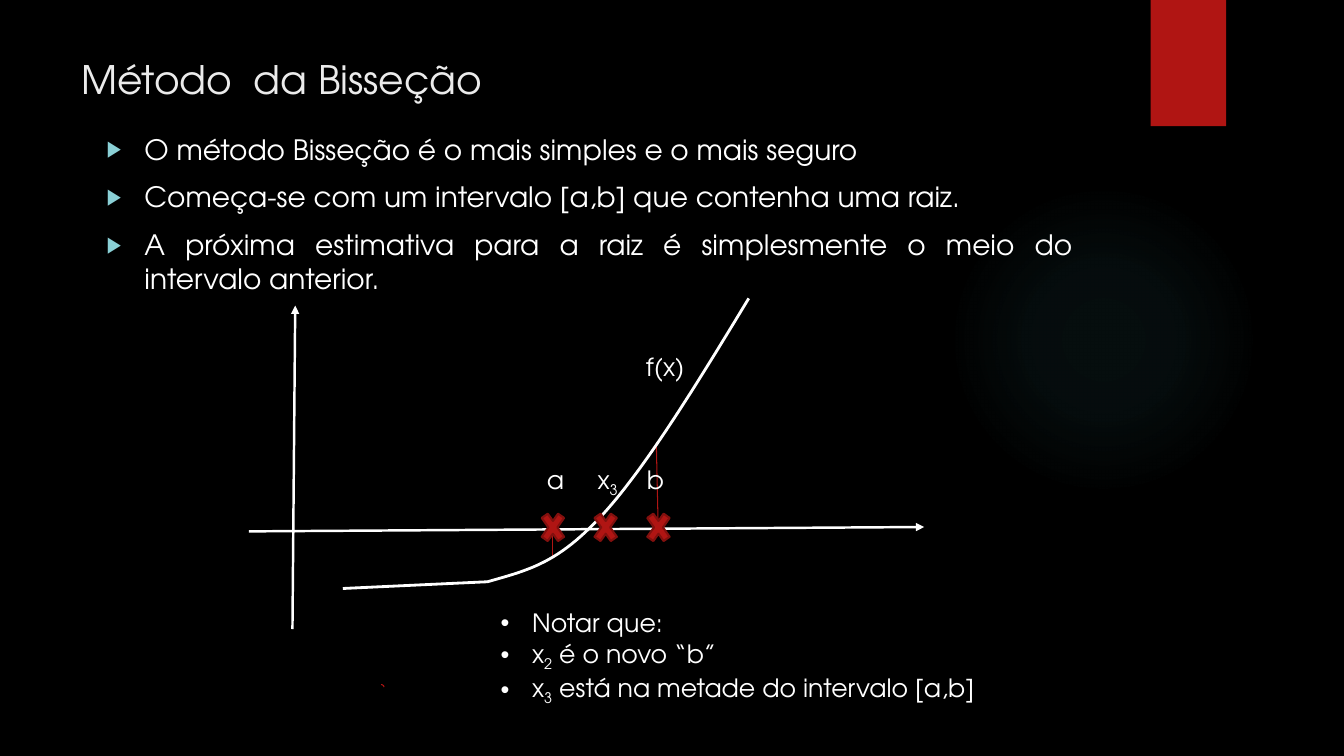
import pptx
import pptx.dml.color
import pptx.enum.shapes
import pptx.enum.text
import pptx.oxml
import pptx.oxml.ns
import pptx.util
from lxml import etree

Cm = pptx.util.Cm
Pt = pptx.util.Pt
Shapes = pptx.enum.shapes.MSO_SHAPE
qn = pptx.oxml.ns.qn


def color(value):
    return pptx.dml.color.RGBColor.from_string(value)


def bezier(start, first, second, end, steps=24):
    points = []
    for step in range(1, steps + 1):
        t = step / steps
        weights = ((1 - t) ** 3, 3 * t * (1 - t) ** 2, 3 * t * t * (1 - t), t ** 3)
        controls = (start, first, second, end)
        points.append(tuple(sum(w * c[axis] for w, c in zip(weights, controls)) for axis in (0, 1)))
    return points


class SlideBuilder:
    font = "TeX Gyre Adventor"
    white = "FFFFFF"
    red = "B01513"
    dark_red = "82100E"
    bullet_blue = "8AD0D6"

    def __init__(self, presentation):
        self.slide = presentation.slides.add_slide(presentation.slide_layouts[6])
        background = self.slide.background.fill
        background.solid()
        background.fore_color.rgb = color("000000")

    def style(self, shape, fill=None, line=None, width=1):
        shape.shadow.inherit = False
        if fill:
            shape.fill.solid()
            shape.fill.fore_color.rgb = color(fill)
        else:
            shape.fill.background()
        if line:
            shape.line.color.rgb = color(line)
            shape.line.width = Pt(width)
        else:
            shape.line.fill.background()

    def shape(self, kind, left, top, width, height, fill=None, line=None, line_width=1):
        shape = self.slide.shapes.add_shape(kind, Cm(left), Cm(top), Cm(width), Cm(height))
        self.style(shape, fill, line, line_width)
        return shape

    def glow(self, left, top, size, tint, stops):
        shape = self.shape(Shapes.OVAL, left, top, size, size)
        stops_xml = "".join(
            f'<a:gs pos="{position * 1000}"><a:srgbClr val="{tint}">'
            f'<a:alpha val="{alpha * 1000}"/></a:srgbClr></a:gs>'
            for position, alpha in stops
        )
        gradient = pptx.oxml.parse_xml(
            f'<a:gradFill {pptx.oxml.ns.nsdecls("a")}><a:gsLst>{stops_xml}</a:gsLst>'
            '<a:path path="circle"><a:fillToRect l="50000" t="50000" r="50000" b="50000"/>'
            "</a:path></a:gradFill>"
        )
        properties = shape.element.spPr
        properties.replace(properties.find(qn("a:noFill")), gradient)

    def line(self, start, end, tint, width, arrow=False):
        connector = self.slide.shapes.add_connector(
            pptx.enum.shapes.MSO_CONNECTOR.STRAIGHT, *(Cm(value) for value in start + end)
        )
        connector.line.color.rgb = color(tint)
        connector.line.width = Pt(width)
        if arrow:
            etree.SubElement(connector.line._get_or_add_ln(), qn("a:tailEnd"), type="triangle")
        etree.SubElement(connector.element.spPr, qn("a:effectLst"))

    def curve(self, points, tint, width):
        vertices = [(Cm(x), Cm(y)) for x, y in points]
        builder = self.slide.shapes.build_freeform(*vertices[0])
        builder.add_line_segments(vertices[1:], close=False)
        self.style(builder.convert_to_shape(), line=tint, width=width)

    def text(self, left, top, width, height, lines, size, tint=white,
             wrap=True, bullet=None, space=0, tabs=()):
        box = self.slide.shapes.add_textbox(Cm(left), Cm(top), Cm(width), Cm(height))
        frame = box.text_frame
        frame.word_wrap = wrap
        for index, line in enumerate(lines):
            paragraph = frame.paragraphs[0] if index == 0 else frame.add_paragraph()
            paragraph.space_before = Pt(space)
            for part_index, part in enumerate(line.split("_")):
                run = paragraph.add_run()
                run.text = part
                run.font.name = self.font
                run.font.size = Pt(size)
                run.font.color.rgb = color(tint)
                if part_index % 2:
                    run.font._element.set("baseline", "-25000")
            if bullet:
                paragraph.alignment = pptx.enum.text.PP_ALIGN.JUSTIFY
                self.bullet(paragraph, *bullet)
            if tabs:
                tab_list = etree.SubElement(paragraph._p.get_or_add_pPr(), qn("a:tabLst"))
                for position in tabs:
                    etree.SubElement(tab_list, qn("a:tab"), pos=str(Cm(position)), algn="l")

    def bullet(self, paragraph, character, tint, percent, indent):
        properties = paragraph._p.get_or_add_pPr()
        properties.set("marL", str(Cm(indent)))
        properties.set("indent", str(-Cm(indent)))
        bullet_color = etree.SubElement(properties, qn("a:buClr"))
        etree.SubElement(bullet_color, qn("a:srgbClr"), val=tint)
        etree.SubElement(properties, qn("a:buSzPct"), val=str(percent * 1000))
        etree.SubElement(properties, qn("a:buFont"), typeface="Arial")
        etree.SubElement(properties, qn("a:buChar"), char=character)


def main():
    presentation = pptx.Presentation()
    presentation.slide_width = Cm(33.87)
    presentation.slide_height = Cm(19.05)
    builder = SlideBuilder(presentation)

    builder.glow(23.9, 4.65, 7.82, "50B9C1", ((0, 7), (36, 6), (69, 0)))
    builder.shape(Shapes.RECTANGLE, 29, 0, 1.9, 3.18, builder.red)
    builder.text(1.8, 1.27, 26.14, 3.89, ["Método  da Bisseção"], 28, "EBEBEB")
    builder.text(2.44, 3.21, 24.84, 5.79, [
        "O método Bisseção é o mais simples e o mais seguro",
        "Começa-se com um intervalo [a,b] que contenha uma raiz.",
        "A próxima estimativa para a raiz é simplesmente o meio do intervalo anterior.",
    ], 20, bullet=("▶", builder.bullet_blue, 80, 0.95), space=10)

    builder.line((7.37, 15.85), (7.44, 7.7), builder.white, 1.75, arrow=True)
    builder.line((6.27, 13.39), (23.29, 13.28), builder.white, 1.75, arrow=True)
    builder.line((13.92, 13.44), (13.92, 14.05), builder.red, 0.75)
    builder.line((16.54, 11.18), (16.59, 13.44), builder.red, 0.75)
    builder.text(8.05, 11.58, 10.85, 1.02, ["\ta\tx_3_\tb"], 18, tabs=(5.48, 6.76, 8))
    builder.text(16.03, 8.74, 1.5, 1.02, ["f(x)"], 18, wrap=False)
    builder.shape(Shapes.ARC, 9.53, 17.25, 0.15, 0.13, line=builder.red, line_width=0.75)

    bend, crossing = (12.29, 14.66), (15.16, 13)
    builder.curve(
        [(8.64, 14.83), bend]
        + bezier(bend, (13.39, 14.35), (14.07, 14.17), crossing)
        + bezier(crossing, (16.26, 11.81), (17.58, 9.65), (18.87, 7.52)),
        builder.white, 2,
    )
    builder.text(12.37, 15.19, 16.94, 2.57, [
        "Notar que:",
        "x_2_ é o novo “b”",
        "x_3_ está na metade do intervalo [a,b]",
    ], 18, bullet=("•", builder.white, 100, 0.79))
    for index in range(3):
        builder.shape(Shapes.MATH_MULTIPLY, 13.54 + 1.33 * index, 12.73, 0.79, 1.12,
                      builder.red, builder.dark_red, 1.5)

    presentation.save("out.pptx")


if __name__ == "__main__":
    main()
